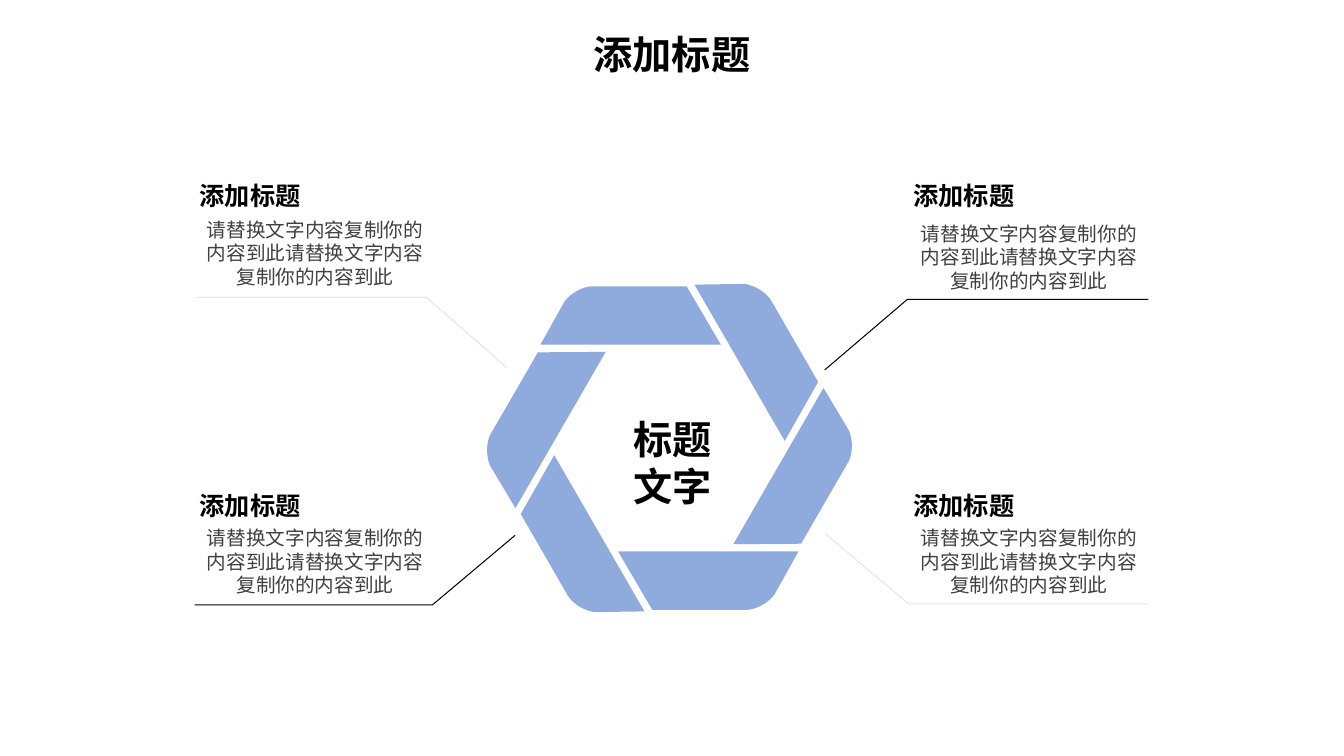
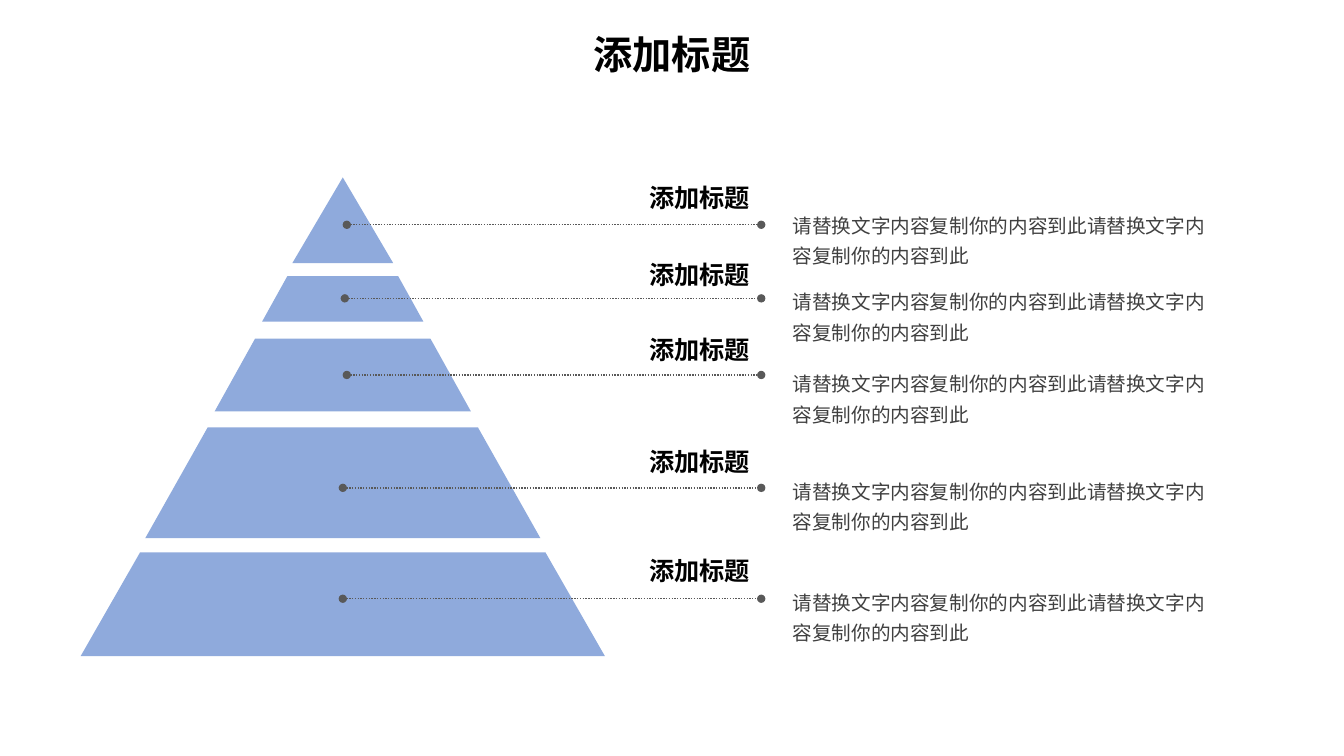
from math import cos, radians, sin

from lxml.etree import SubElement
from pptx import Presentation
from pptx.dml.color import RGBColor
from pptx.enum.dml import MSO_LINE
from pptx.enum.shapes import MSO_CONNECTOR, MSO_SHAPE
from pptx.enum.text import MSO_ANCHOR, MSO_AUTO_SIZE, PP_ALIGN
from pptx.oxml.ns import qn
from pptx.util import Inches, Pt

FONT = "Noto Sans CJK SC"
BLUE, BLACK, TEXT = "8FAADC", "000000", "404040"
LIGHT, DOTTED = "E7E6E6", "595959"
HEADING = "添加标题"
BODY = "请替换文字内容复制你的内容到此" * 2
WIDE, NARROW = (0.14, 0.07), (0.11, 0.05)

HEXAGON_CENTRE = (6.64, 4.445)
BLADE = [(-0.76, -1.605), (0.17, -1.605), (0.51, -1.025), (-1.28, -1.025)]
BLADE_CORNER = [(-1.04, -1.455), (-0.98, -1.535), (-0.86, -1.605), (-0.76, -1.605)]

CALLOUTS = [
    (1.84, 1.66, 2.09, LIGHT, [(5.03, 3.65), (4.23, 2.95), (1.94, 2.95)]),
    (1.84, 4.73, 5.15, BLACK, [(5.11, 5.31), (4.29, 6), (1.93, 6)]),
    (8.92, 1.66, 2.13, BLACK, [(8.18, 3.67), (9, 2.97), (11.39, 2.97)]),
    (8.92, 4.73, 5.15, LIGHT, [(8.18, 5.29), (9.01, 5.99), (11.39, 5.99)]),
]

AXIS = 3.4
TIERS = [
    (2.74, 3.19, 0.55, 0.8),
    (3.36, 4.08, 0.87, 1.27),
    (4.24, 5.34, 1.34, 1.96),
    (5.48, 6.51, 2.01, 2.6),
]
ROWS = [
    (1.7, 3.44, 2.23, 2),
    (2.46, 3.42, 2.96, 2.76),
    (3.21, 3.44, 3.72, 3.57),
    (4.32, 3.4, 4.84, 4.64),
    (5.4, 3.4, 5.94, 5.74),
]


def rgb(value):
    """Turn a hex string into a colour."""
    return RGBColor.from_string(value)


def add_run(p, text, size, color, bold=False):
    """Add a formatted run to a paragraph."""
    r = p.add_run()
    r.text = text
    r.font.size, r.font.bold = Pt(size), bold
    r.font.name = FONT
    SubElement(r.font._element, qn("a:ea")).set("typeface", FONT)
    r.font.color.rgb = rgb(color)


def add_text(slide, box, lines, size, color, bold=False, align=PP_ALIGN.LEFT,
             spacing=None, insets=WIDE, wrap=True):
    """Add a text box with one paragraph for each line."""
    tf = slide.shapes.add_textbox(*map(Inches, box)).text_frame
    tf.word_wrap, tf.auto_size = wrap, MSO_AUTO_SIZE.SHAPE_TO_FIT_TEXT
    tf.margin_left = tf.margin_right = Inches(insets[0])
    tf.margin_top = tf.margin_bottom = Inches(insets[1])
    for i, line in enumerate(lines):
        p = tf.add_paragraph() if i else tf.paragraphs[0]
        p.alignment, p.line_spacing = align, spacing
        add_run(p, line, size, color, bold)


def add_heading(slide, box, **options):
    """Add a bold item heading."""
    add_text(slide, box, [HEADING], 18, BLACK, True, PP_ALIGN.JUSTIFY, 1.2, **options)


def fill_plain(sp, color):
    """Fill a shape and take away its outline and shadow."""
    sp.shadow.inherit = False
    sp.fill.solid()
    sp.fill.fore_color.rgb = rgb(color)
    sp.line.fill.background()


def add_outline(slide, points, close):
    """Draw straight segments through points given in inches."""
    start, *rest = [(Inches(x), Inches(y)) for x, y in points]
    builder = slide.shapes.build_freeform(*start)
    builder.add_line_segments(rest, close=close)
    return builder.convert_to_shape()


def add_polygon(slide, points):
    """Add a filled polygon."""
    fill_plain(add_outline(slide, points, True), BLUE)


def add_leader(slide, points, color):
    """Add an open bent line."""
    sp = add_outline(slide, points, False)
    sp.shadow.inherit = False
    sp.fill.background()
    sp.line.color.rgb, sp.line.width = rgb(color), Pt(0.75)


def add_dotted_line(slide, x1, x2, y):
    """Add a horizontal dotted line with a dot at both ends."""
    sp = slide.shapes.add_connector(
        MSO_CONNECTOR.STRAIGHT, *map(Inches, (x1, y, x2, y)))
    sp.line.color.rgb, sp.line.width = rgb(DOTTED), Pt(1)
    sp.line.dash_style = MSO_LINE.ROUND_DOT
    ln = sp.line._get_or_add_ln()
    for end in ("a:headEnd", "a:tailEnd"):
        SubElement(ln, qn(end)).set("type", "oval")
    SubElement(sp._element.spPr, qn("a:effectLst"))


def bezier(points, steps=12):
    """Sample a cubic curve between its end points."""
    result = []
    for t in (i / steps for i in range(steps)):
        weights = ((1 - t) ** 3, 3 * t * (1 - t) ** 2, 3 * t * t * (1 - t), t ** 3)
        result.append(tuple(sum(w * pt[axis] for w, pt in zip(weights, points))
                            for axis in (0, 1)))
    return result


def rotate(points, degrees, centre):
    """Turn points about the origin and move them to a centre."""
    c, s = cos(radians(degrees)), sin(radians(degrees))
    return [(centre[0] + x * c - y * s, centre[1] + x * s + y * c) for x, y in points]


def add_slide(prs):
    """Add a slide with the shared centred title."""
    slide = prs.slides.add_slide(prs.slide_layouts[5])
    title = slide.shapes.title
    title.left, title.top, title.width, title.height = map(
        Inches, (0, 0.25, 13.33, 0.57))
    tf = title.text_frame
    tf.vertical_anchor, tf.auto_size = MSO_ANCHOR.TOP, MSO_AUTO_SIZE.NONE
    p = tf.paragraphs[0]
    p.alignment = PP_ALIGN.CENTER
    add_run(p, HEADING, 28, BLACK, True)
    return slide


def build_hexagon(prs):
    """Build the hexagon slide with four callouts."""
    slide = add_slide(prs)
    for degrees in range(0, 360, 60):
        add_polygon(slide, rotate(BLADE + bezier(BLADE_CORNER), degrees, HEXAGON_CENTRE))
    for x, heading_y, body_y, color, leader in CALLOUTS:
        add_leader(slide, leader, color)
        add_text(slide, (x, body_y, 2.57, 0.84), [BODY], 14, TEXT,
                 align=PP_ALIGN.CENTER)
        add_heading(slide, (x, heading_y, 2.57, 0.49))
    add_text(slide, (6, 4.05, 1.35, 1.08), ["标题", "文字"], 28, BLACK, True,
             PP_ALIGN.CENTER)


def build_pyramid(prs):
    """Build the pyramid slide with five described tiers."""
    slide = add_slide(prs)
    tip = slide.shapes.add_shape(
        MSO_SHAPE.ISOSCELES_TRIANGLE, *map(Inches, (AXIS - 0.5, 1.76, 1, 0.85)))
    fill_plain(tip, BLUE)
    for top, bottom, upper, lower in TIERS:
        add_polygon(slide, [(AXIS - upper, top), (AXIS + upper, top),
                            (AXIS + lower, bottom), (AXIS - lower, bottom)])
    for heading_y, dot_x, line_y, body_y in ROWS:
        add_dotted_line(slide, dot_x, 7.55, line_y)
        add_text(slide, (7.75, body_y, 4.42, 0.72), [BODY], 14, TEXT,
                 spacing=1.3, insets=NARROW)
        add_heading(slide, (6.33, heading_y, 1.23, 0.45), insets=NARROW, wrap=False)


def main():
    """Build and save the presentation."""
    prs = Presentation()
    prs.slide_width, prs.slide_height = Inches(13.33), Inches(7.5)
    build_hexagon(prs)
    build_pyramid(prs)
    prs.save("out.pptx")


if __name__ == "__main__":
    main()
